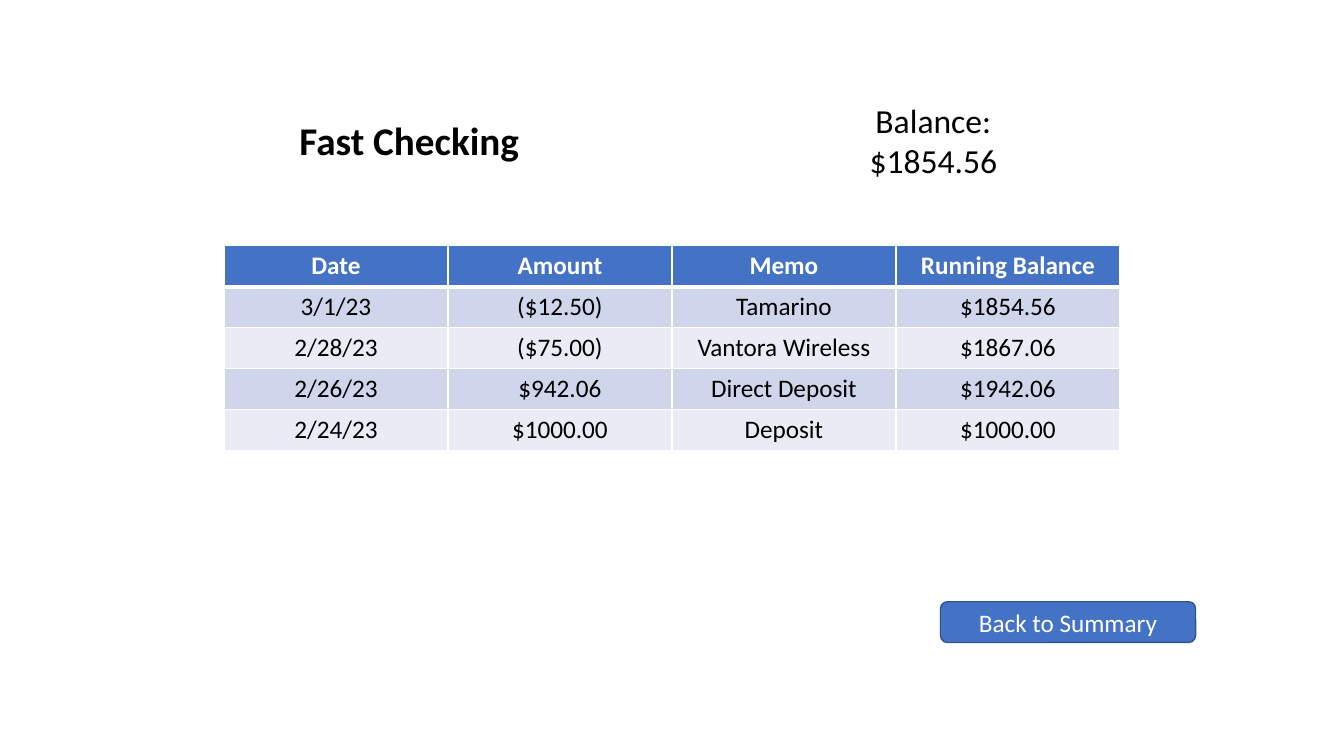
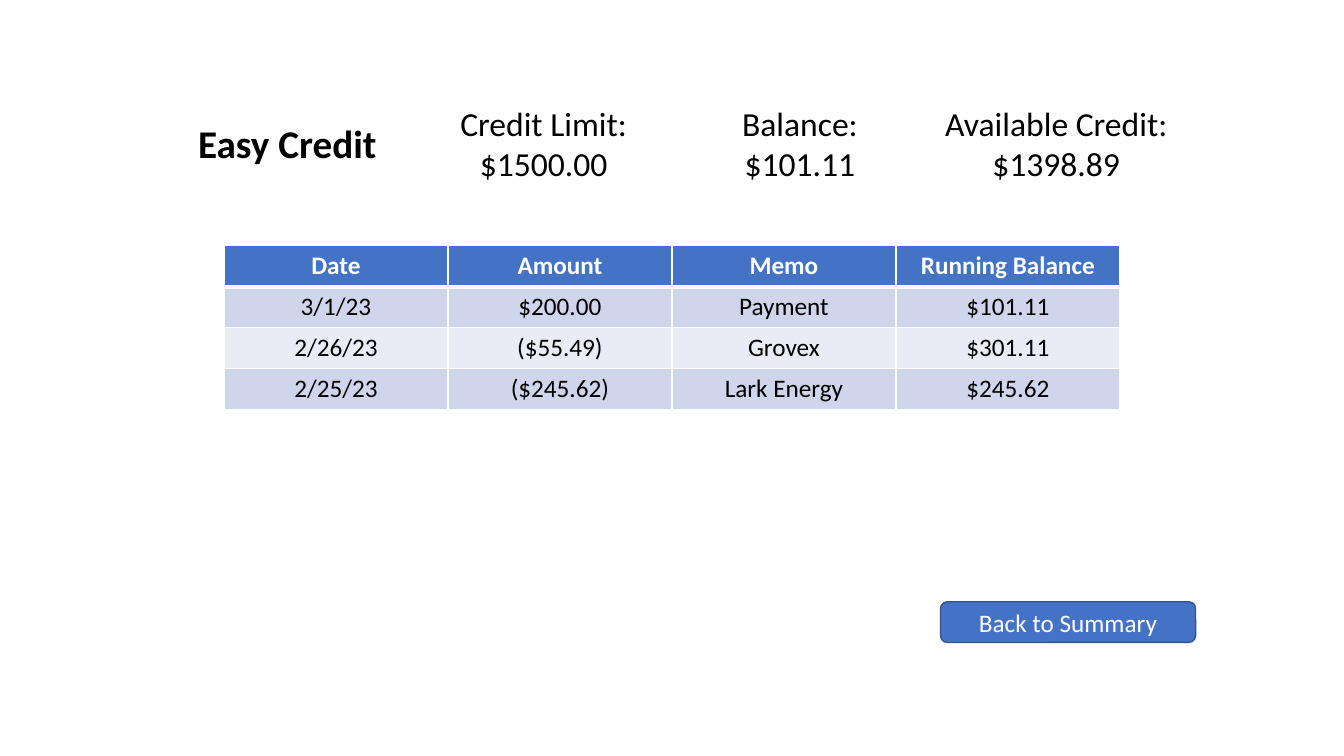
from lxml import etree
from pptx import Presentation
from pptx.dml.color import RGBColor
from pptx.enum import shapes, text
from pptx.oxml import ns
from pptx.util import Pt

FONT = "Calibri"
BLACK, WHITE = "000000", "FFFFFF"
BLUE, BLUE_EDGE = "4472C4", "325491"
BANDS = ("CFD5EA", "E9EBF5")
COLUMNS = ("Date", "Amount", "Memo", "Running Balance")

HEADING_WIDTH, TITLE_HEIGHT, FIGURE_HEIGHT = 174.2, 41.2, 65.4
REGISTER = (160, 175.6, 640)
ROW_HEIGHT = 29.2
BUTTON = (671.8, 429.8, 182.2, 29.1)

ACCOUNTS = (
    {
        "title": "Fast Checking",
        "figures": (("Balance:", "$1854.56"),),
        "origin": (205.2, 67.7),
        "pitch": 374.4,
        "entries": (
            ("3/1/23", "($12.50)", "Tamarino", "$1854.56"),
            ("2/28/23", "($75.00)", "Vantora Wireless", "$1867.06"),
            ("2/26/23", "$942.06", "Direct Deposit", "$1942.06"),
            ("2/24/23", "$1000.00", "Deposit", "$1000.00"),
        ),
    },
    {
        "title": "Easy Credit",
        "figures": (
            ("Credit Limit:", "$1500.00"),
            ("Balance:", "$101.11"),
            ("Available Credit:", "$1398.89"),
        ),
        "origin": (118.1, 69.8),
        "pitch": 183.1,
        "entries": (
            ("3/1/23", "$200.00", "Payment", "$101.11"),
            ("2/26/23", "($55.49)", "Grovex", "$301.11"),
            ("2/25/23", "($245.62)", "Lark Energy", "$245.62"),
        ),
    },
)


def paint(target, color):
    """Give a fill or line a solid colour."""
    target.solid()
    target.fore_color.rgb = RGBColor.from_string(color)


def write(frame, lines, size, color=BLACK, bold=False):
    """Fill a text frame with centred lines of one style."""
    frame.text = "\n".join(lines)
    for paragraph in frame.paragraphs:
        paragraph.alignment = text.PP_ALIGN.CENTER
        font = paragraph.font
        font.name, font.size, font.bold = FONT, Pt(size), bold
        font.color.rgb = RGBColor.from_string(color)


def add_heading(slide, left, top, height, lines, size, bold=False):
    """Add one centred heading block."""
    heading = slide.shapes.add_textbox(Pt(left), Pt(top), Pt(HEADING_WIDTH), Pt(height))
    frame = heading.text_frame
    frame.word_wrap = True
    frame.auto_size = text.MSO_AUTO_SIZE.SHAPE_TO_FIT_TEXT
    write(frame, lines, size, bold=bold)


def add_summary(slide, origin, pitch, title, figures):
    """Set the account title and its figures side by side, centred vertically."""
    left, top = origin
    title_top = top + (FIGURE_HEIGHT - TITLE_HEIGHT) / 2
    add_heading(slide, left, title_top, TITLE_HEIGHT, (title,), 28, bold=True)
    for place, figure in enumerate(figures, 1):
        add_heading(slide, left + place * pitch, top, FIGURE_HEIGHT, figure, 24)


def add_borders(cell, top, bottom):
    """Rule a cell in white, with the given top and bottom widths."""
    properties = cell._tc.get_or_add_tcPr()
    widths = {"a:lnL": 1, "a:lnR": 1, "a:lnT": top, "a:lnB": bottom}
    for position, (tag, width) in enumerate(widths.items()):
        border = etree.Element(ns.qn(tag), w=str(Pt(width)))
        fill = etree.SubElement(border, ns.qn("a:solidFill"))
        etree.SubElement(fill, ns.qn("a:srgbClr"), val=WHITE)
        properties.insert(position, border)


def add_register(slide, box, entries):
    """Add the banded table of transactions."""
    left, top, width = box
    rows = (COLUMNS, *entries)
    register = slide.shapes.add_table(
        len(rows), len(COLUMNS), Pt(left), Pt(top), Pt(width), Pt(ROW_HEIGHT * len(rows))
    ).table
    for index, values in enumerate(rows):
        register.rows[index].height = Pt(ROW_HEIGHT)
        header = index == 0
        for column, value in enumerate(values):
            cell = register.cell(index, column)
            paint(cell.fill, BLUE if header else BANDS[(index - 1) % 2])
            add_borders(cell, 3 if index == 1 else 1, 3 if header else 1)
            write(cell.text_frame, (value,), 18, WHITE if header else BLACK, header)


def add_button(slide, box, label):
    """Add the rounded navigation button."""
    button = slide.shapes.add_shape(
        shapes.MSO_SHAPE.ROUNDED_RECTANGLE, *(Pt(length) for length in box)
    )
    button.shadow.inherit = False
    paint(button.fill, BLUE)
    paint(button.line.fill, BLUE_EDGE)
    button.line.width = Pt(1)
    button.text_frame.vertical_anchor = text.MSO_ANCHOR.MIDDLE
    write(button.text_frame, (label,), 18, WHITE)


def add_account(deck, account):
    """Add one account slide."""
    slide = deck.slides.add_slide(deck.slide_layouts[6])
    add_summary(
        slide, account["origin"], account["pitch"], account["title"], account["figures"]
    )
    add_register(slide, REGISTER, account["entries"])
    add_button(slide, BUTTON, "Back to Summary")


def main():
    """Build and save the deck."""
    deck = Presentation()
    deck.slide_width, deck.slide_height = Pt(960), Pt(540)
    for account in ACCOUNTS:
        add_account(deck, account)
    deck.save("out.pptx")


if __name__ == "__main__":
    main()
